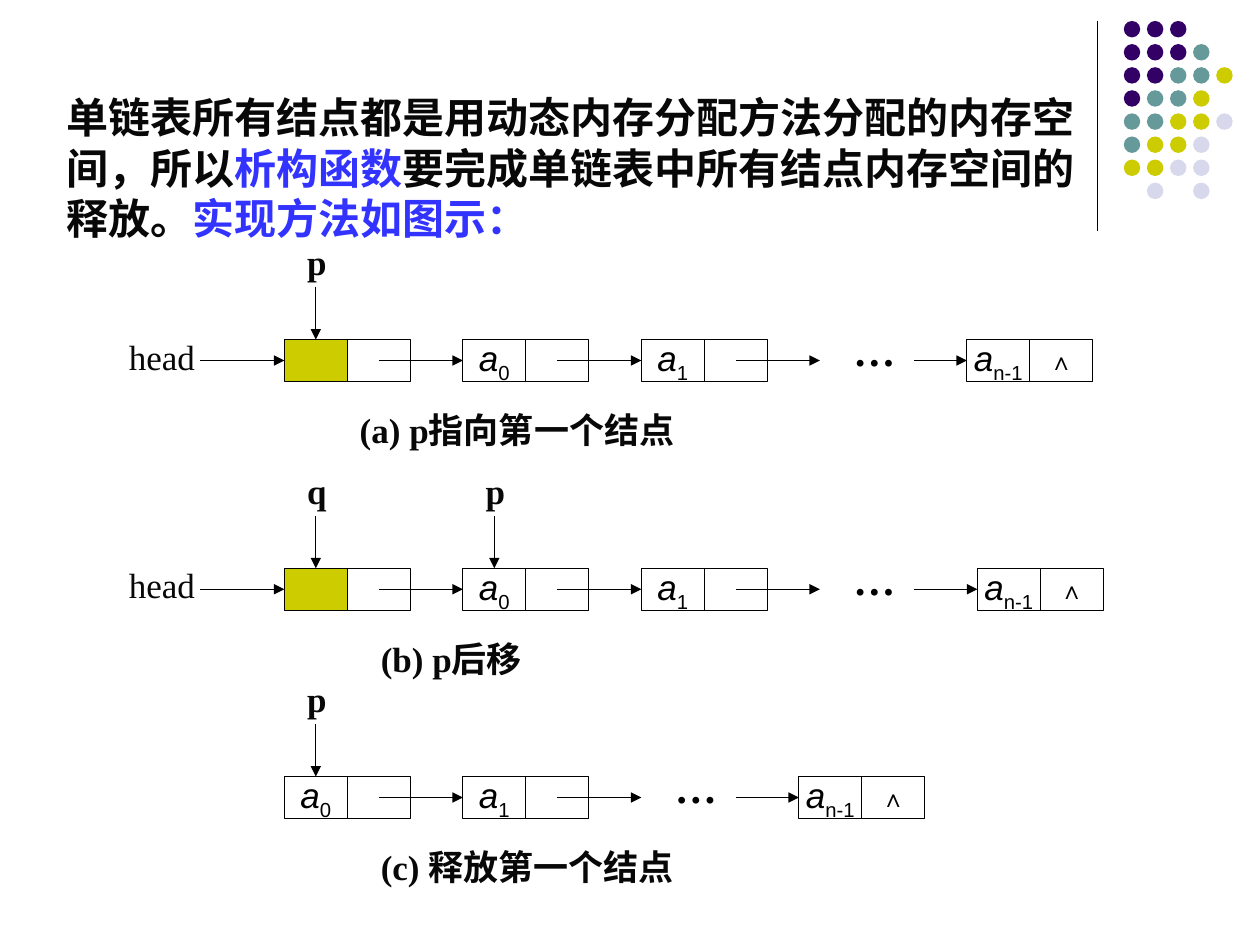
import pptx
import pptx.util
import pptx.dml.color
import pptx.enum.shapes
import pptx.enum.text
import pptx.oxml.ns
import lxml.etree

Pt = pptx.util.Pt
SHAPE = pptx.enum.shapes.MSO_SHAPE
COLORS = {
    "ink": "080808", "black": "000000", "blue": "3333FF",
    "purple": "330066", "teal": "669999", "lime": "CCCC00", "lilac": "D8D8EC",
}
SERIF = "Times New Roman"
SANS = "Arial"

CELL_W, CELL_H = 36, 24
PITCH = 102  # from one node to the next


def color(name):
    return pptx.dml.color.RGBColor.from_string(COLORS[name])


def add_run(paragraph, text, size=20, font=SERIF, ink="ink",
            bold=False, italic=False, baseline=0):
    run = paragraph.add_run()
    run.text = text
    run.font.size = Pt(size)
    run.font.name = font
    run.font.bold = bold
    run.font.italic = italic
    run.font.color.rgb = color(ink)
    if baseline:
        run.font._element.set("baseline", str(baseline * 1000))


def add_label(shapes, left, top, width, height, parts, **fmt):
    """Text box; parts is a list of (text, ink) in one paragraph."""
    label = shapes.add_textbox(Pt(left), Pt(top), Pt(width), Pt(height))
    label.text_frame.word_wrap = True
    for text, ink in parts:
        add_run(label.text_frame.paragraphs[0], text, ink=ink, **fmt)


def add_line(shapes, x1, y1, x2, y2, arrow=True):
    line = shapes.add_connector(pptx.enum.shapes.MSO_CONNECTOR.STRAIGHT,
                                Pt(x1), Pt(y1), Pt(x2), Pt(y2))
    line.line.width = Pt(0.75)
    line.line.color.rgb = color("black")
    qn = pptx.oxml.ns.qn
    properties = line._element.spPr
    if arrow:
        lxml.etree.SubElement(properties.get_or_add_ln(), qn("a:tailEnd"), type="triangle")
    lxml.etree.SubElement(properties, qn("a:effectLst"))


def add_cell(shapes, left, top, runs=(), fill=None):
    cell = shapes.add_shape(SHAPE.RECTANGLE, Pt(left), Pt(top), Pt(CELL_W), Pt(CELL_H))
    cell.shadow.inherit = False
    cell.line.width = Pt(0.75)
    cell.line.color.rgb = color("black")
    if fill:
        cell.fill.solid()
        cell.fill.fore_color.rgb = color(fill)
    else:
        cell.fill.background()
    frame = cell.text_frame
    frame.word_wrap = False
    frame.vertical_anchor = pptx.enum.text.MSO_ANCHOR.MIDDLE
    frame.paragraphs[0].alignment = pptx.enum.text.PP_ALIGN.CENTER
    for text, fmt in runs:
        add_run(frame.paragraphs[0], text, font=SANS, ink="black", **fmt)


def add_node(shapes, left, top, index, last=False):
    """Data cell and link cell; an index of None makes the head node."""
    if index is None:
        add_cell(shapes, left, top, fill="lime")
    else:
        add_cell(shapes, left, top, [("a", {"italic": True}), (index, {"baseline": -25})])
    add_cell(shapes, left + CELL_W, top, [("∧", {"size": 14})] if last else ())


def add_decoration(slide, left, top):
    """Dot pattern with the rule on its left."""
    add_line(slide.shapes, left, top, left, top + 120, arrow=False)
    inks = {"p": "purple", "t": "teal", "l": "lime", "w": "lilac"}
    rows = ["ppp", "pppt", "ppttl", "pttl", "ttllw", "tllw", "llww", " w w"]
    dots = slide.shapes.add_group_shape().shapes
    for row, pattern in enumerate(rows):
        for column, key in enumerate(pattern):
            if key == " ":
                continue
            dot = dots.add_shape(SHAPE.OVAL, Pt(left + 15.2 + column * 13.2),
                                 Pt(top + row * 13.2), Pt(9.4), Pt(9.4))
            dot.shadow.inherit = False
            dot.fill.solid()
            dot.fill.fore_color.rgb = color(inks[key])
            dot.line.fill.background()


def add_statement(slide, left, top):
    """Opening text, with full-width comma and colon."""
    add_label(slide.shapes, left, top, 612, 94, [
        ("单链表所有结点都是用动态内存分配方法分配的内存空间\uff0c所以", "ink"),
        ("析构函数", "blue"),
        ("要完成单链表中所有结点内存空间的释放。", "ink"),
        ("实现方法如图示\uff1a", "blue"),
    ], size=24, font=SANS, bold=True)


def add_list_diagram(slide, left, top, indexes, last_left, pointers,
                     caption, caption_left, caption_width, head=True):
    """Linked list whose first node is at left, top."""
    shapes = slide.shapes.add_group_shape().shapes
    middle = top + CELL_H / 2
    gap = left + len(indexes) * PITCH

    # Nodes and their links
    for slot, index in enumerate(indexes):
        x = left + slot * PITCH
        add_node(shapes, x, top, index)
        add_line(shapes, x + 54, middle, x + PITCH, middle)
    add_label(shapes, gap + 12, top - 12, 54, 36, [("…", "black")], size=24, bold=True)
    add_line(shapes, gap + 54, middle, last_left, middle)
    add_node(shapes, last_left, top, "n-1", last=True)

    # Head pointer
    if head:
        add_label(shapes, left - 96, top - 6, 54, 31, [("head", "ink")])
        add_line(shapes, left - 48, middle, left, middle)

    # Pointers from above
    for slot, name in enumerate(pointers):
        x = left + slot * PITCH
        add_label(shapes, x + 6, top - 60, 30, 31, [(name, "ink")], bold=True)
        add_line(shapes, x + 18, top - 30, x + 18, top)

    # Caption
    add_label(shapes, caption_left, top + 36, caption_width, 31,
              [(caption, "ink")], bold=True)


def build():
    deck = pptx.Presentation()
    deck.slide_width, deck.slide_height = Pt(720), Pt(540)
    slide = deck.slides.add_slide(deck.slide_layouts[6])

    add_decoration(slide, 627, 12)
    add_statement(slide, 31, 49)

    left = 162.5
    add_list_diagram(slide, left, 194, [None, "0", "1"], 552.5, ["p"],
                     "(a) p指向第一个结点", 198.5, 246)
    add_list_diagram(slide, left, 324.75, [None, "0", "1"], 558.5, ["q", "p"],
                     "(b) p后移", 210.5, 126)
    add_list_diagram(slide, left, 443.75, ["0", "1"], 456.5, ["p"],
                     "(c) 释放第一个结点", 210.5, 192, head=False)
    deck.save("out.pptx")


build()
